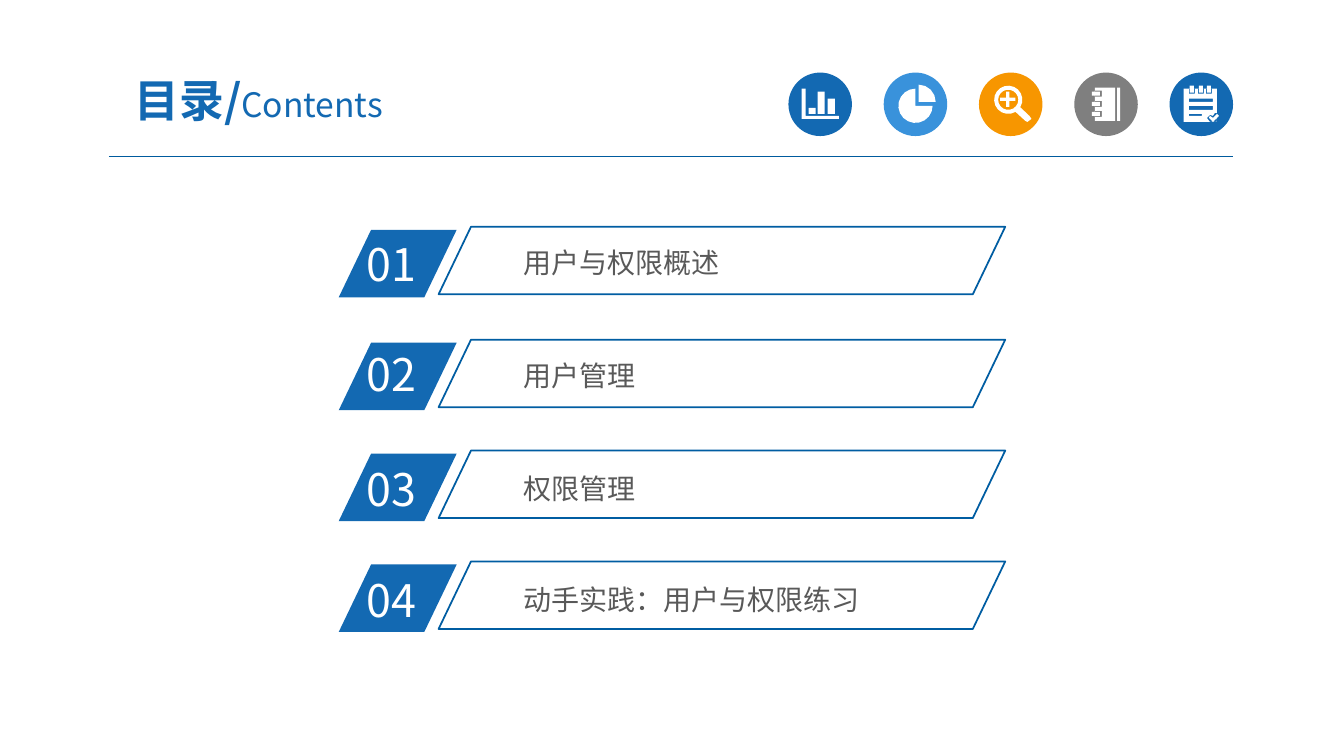
from math import cos, radians, sin

from lxml import etree
from pptx import Presentation
from pptx.dml.color import RGBColor
from pptx.enum.shapes import MSO_CONNECTOR, MSO_SHAPE
from pptx.enum.text import MSO_ANCHOR, PP_ALIGN
from pptx.oxml.ns import qn
from pptx.util import Inches, Pt

BLUE = RGBColor(0x13, 0x69, 0xB2)
LIGHT_BLUE = RGBColor(0x39, 0x92, 0xDB)
ORANGE = RGBColor(0xF7, 0x96, 0x00)
GRAY = RGBColor(0x7F, 0x7F, 0x7F)
FRAME_BLUE = RGBColor(0x00, 0x5D, 0xA2)
RULE_BLUE = RGBColor(0x00, 0x5B, 0x9E)
TEXT_GRAY = RGBColor(0x59, 0x59, 0x59)
WHITE = RGBColor(0xFF, 0xFF, 0xFF)
FONT = "Noto Sans CJK SC"

# Number, label, top of the tab, top of the number, top of the label
ENTRIES = [
    ("01", "用户与权限概述", 2.28, 2.3, 2.4),
    ("02", "用户管理", 3.4, 3.39, 3.52),
    ("03", "权限管理", 4.5, 4.53, 4.64),
    ("04", "动手实践：用户与权限练习", 5.6, 5.63, 5.74),
]


# Outlines, as lists of points in inches
def arc(x, y, radius, start, end):
    steps = round((end - start) / 20)
    angles = [radians(start + (end - start) * i / steps) for i in range(steps + 1)]
    return [(x + radius * cos(a), y + radius * sin(a)) for a in angles]


def bar(left, top, right, bottom):
    return [(left, top), (right, top), (right, bottom), (left, bottom)]


# Icons: overlapping outlines cut holes in each other
def bar_chart_icon():
    axes = [(7.95, 0.88), (7.99, 0.88), (7.99, 1.15),
            (8.32, 1.15), (8.32, 1.18), (7.95, 1.18)]
    bars = [(8.02, 1.07), (8.11, 0.91), (8.21, 0.98)]
    return [axes] + [bar(x, top, x + 0.07, 1.13) for x, top in bars]


def pie_icon():
    return [[(9.11, 1.01)] + arc(9.11, 1.01, 0.17, -90, 0),
            [(9.08, 1.05)] + arc(9.08, 1.05, 0.17, 0, 270)]


def magnifier_icon():
    handle = [(10.21, 1.15), (10.23, 1.18), (10.19, 1.21), (10.17, 1.2)]
    plus = [(9.98, 0.91), (10.01, 0.91), (10.01, 0.97), (10.07, 0.97),
            (10.07, 1), (10.01, 1), (10.01, 1.06), (9.98, 1.06),
            (9.98, 1), (9.92, 1), (9.92, 0.97), (9.98, 0.97)]
    return [arc(10, 0.99, 0.14, 59, 392) + handle, arc(10, 0.99, 0.1, 0, 340), plus]


def notebook_icon():
    outlines = [bar(11.08, 0.87, 11.11, 1.2), bar(10.86, 0.87, 11.06, 1.2)]
    for middle in (0.93, 1.03, 1.13):
        outlines.append(bar(10.86, middle - 0.03, 10.93, middle + 0.03))
        outlines.append(bar(10.83, middle - 0.02, 10.91, middle + 0.02))
    return outlines


def checklist_icon():
    tick_gap = [(12.05, 1.12), (12.07, 1.12), (12.07, 1.21),
                (12, 1.21), (11.97, 1.17), (12, 1.14), (12.03, 1.15)]
    tick = [(11.99, 1.17), (12, 1.15), (12.03, 1.17), (12.07, 1.13),
            (12.09, 1.15), (12.03, 1.21)]
    outlines = [bar(11.74, 0.88, 12.07, 1.21), bar(11.79, 0.98, 12.03, 1.01),
                bar(11.79, 1.05, 12.03, 1.09), bar(11.79, 1.13, 11.92, 1.15),
                tick_gap, tick]
    for middle in (11.82, 11.91, 11.99):
        outlines.append(bar(middle - 0.03, 0.88, middle + 0.03, 0.93))
        outlines.append(bar(middle - 0.02, 0.85, middle + 0.02, 0.92))
    return outlines


def paint(shape, fill=None, line=None):
    shape.shadow.inherit = False
    if fill is None:
        shape.fill.background()
    else:
        shape.fill.solid()
        shape.fill.fore_color.rgb = fill
    if line is None:
        shape.line.fill.background()
    else:
        shape.line.color.rgb = line
        shape.line.width = Pt(1.25)


def add_preset(page, kind, left, top, width, height, **colors):
    shape = page.shapes.add_shape(kind, Inches(left), Inches(top), Inches(width), Inches(height))
    paint(shape, **colors)
    return shape


def add_slanted(page, left, top, width, **colors):
    shape = add_preset(page, MSO_SHAPE.PARALLELOGRAM, left, top, width, 0.67, **colors)
    shape.adjustments[0] = 0.48


def add_icon(page, left, color, outlines):
    add_preset(page, MSO_SHAPE.OVAL, left, 0.72, 0.63, 0.63, fill=color)
    builder = None
    for outline in outlines:
        points = [(Inches(x), Inches(y)) for x, y in outline]
        if builder is None:
            builder = page.shapes.build_freeform(*points[0])
        else:
            builder.move_to(*points[0])
        builder.add_line_segments(points[1:], close=True)
    paint(builder.convert_to_shape(), fill=WHITE)


def add_text(page, spans, left, top, width, height, color=TEXT_GRAY,
             align=PP_ALIGN.LEFT, anchor=MSO_ANCHOR.TOP, inset=(0.1, 0.05)):
    """Each span is (text, size, bold)."""
    box = page.shapes.add_textbox(Inches(left), Inches(top), Inches(width), Inches(height))
    frame = box.text_frame
    frame.word_wrap = True
    frame.vertical_anchor = anchor
    frame.margin_left = frame.margin_right = Inches(inset[0])
    frame.margin_top = frame.margin_bottom = Inches(inset[1])
    para = frame.paragraphs[0]
    para.alignment = align
    for text, size, bold in spans:
        span = para.add_run()
        span.text = text
        span.font.size = Pt(size)
        span.font.bold = bold
        span.font.name = FONT
        span.font.color.rgb = color
        east_asian = etree.SubElement(span.font._element, qn("a:ea"))
        east_asian.set("typeface", FONT)


def add_rule(page):
    rule = page.shapes.add_connector(MSO_CONNECTOR.STRAIGHT, Inches(1.08), Inches(1.55),
                                     Inches(12.23), Inches(1.55))
    rule.line.color.rgb = RULE_BLUE
    rule.line.width = Pt(0.75)
    etree.SubElement(rule._element.spPr, qn("a:effectLst"))


def main():
    deck = Presentation()
    deck.slide_width = Inches(13.33)
    deck.slide_height = Inches(7.5)
    page = deck.slides.add_slide(deck.slide_layouts[6])

    # Header
    add_rule(page)
    icons = [(BLUE, bar_chart_icon), (LIGHT_BLUE, pie_icon), (ORANGE, magnifier_icon),
             (GRAY, notebook_icon), (BLUE, checklist_icon)]
    for i, (color, outlines) in enumerate(icons):
        add_icon(page, 7.82 + 3.78 * i / 4, color, outlines())
    add_text(page, [("目录/", 32, True), ("Contents", 24, False)], 0.92, 0.63, 3.29, 0.72,
             color=BLUE, align=PP_ALIGN.CENTER, anchor=MSO_ANCHOR.MIDDLE, inset=(0.13, 0.07))

    # Contents entries
    for number, label, tab_top, number_top, label_top in ENTRIES:
        add_slanted(page, 3.36, tab_top, 1.17, fill=BLUE)
        add_text(page, [(number, 32, False)], 3.54, number_top, 1.12, 0.64, color=WHITE)
        add_text(page, [(label, 20, False)], 5.12, label_top, 4.41, 0.41, inset=(0.07, 0.04))
        add_slanted(page, 4.35, tab_top - 0.03, 5.62, line=FRAME_BLUE)

    deck.save("out.pptx")


if __name__ == "__main__":
    main()
